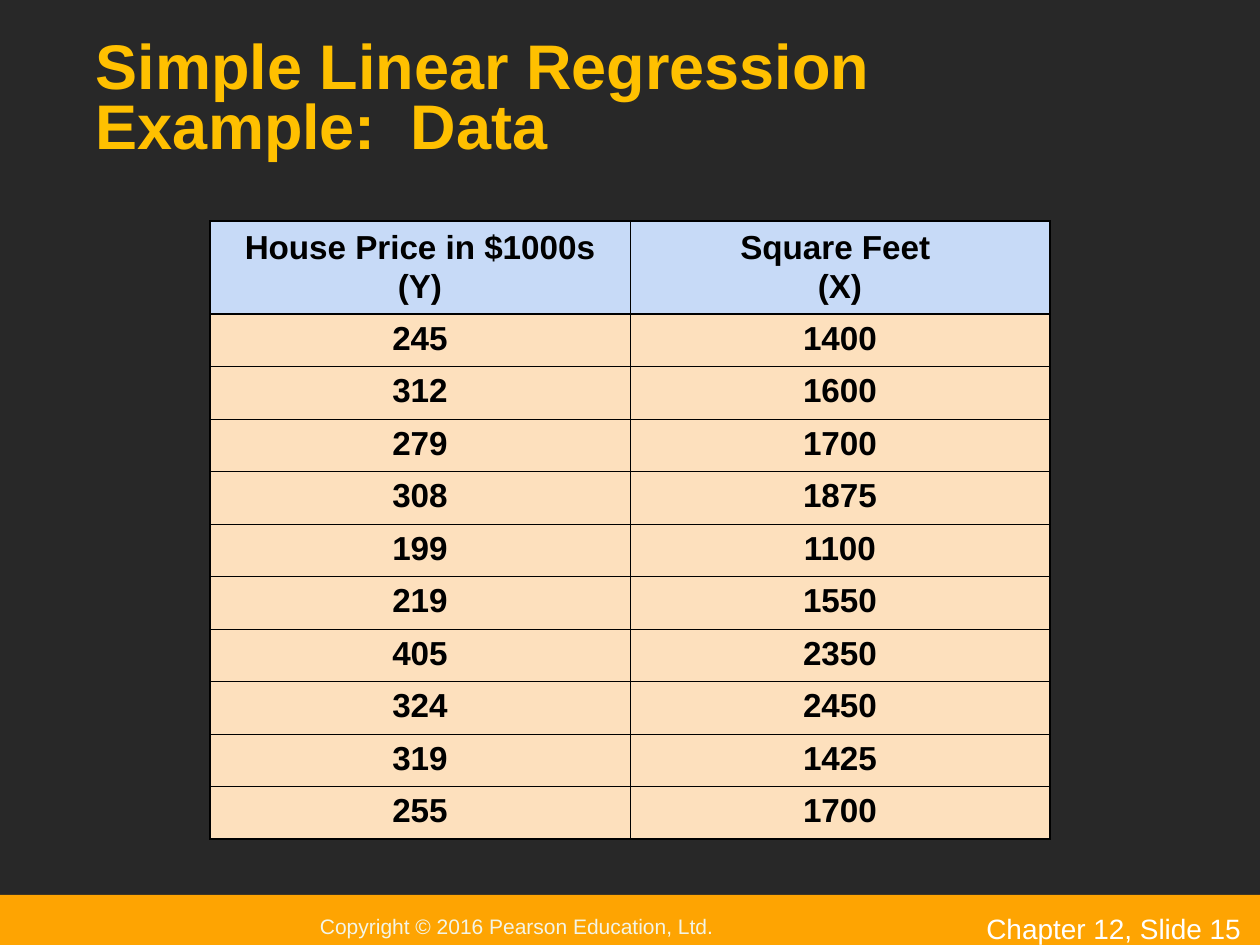
from dataclasses import dataclass

from lxml.etree import SubElement
from pptx import Presentation
from pptx.dml.color import RGBColor as Rgb
from pptx.enum.shapes import MSO_SHAPE as Shape
from pptx.enum.text import MSO_ANCHOR as Anchor, PP_ALIGN as Align
from pptx.oxml.ns import qn
from pptx.util import Pt

EMU_PER_PX = 914400 // 126


@dataclass(frozen=True)
class Theme:
    font: str = "Arial"
    background: str = "282828"
    title: str = "FFC000"
    bar: str = "FEA402"
    copyright: str = "F3F5E7"
    page: str = "FFFFFF"
    header: str = "C7DAF7"
    body: str = "FDE0BD"
    ink: str = "000000"
    title_size: int = 36
    cell_size: int = 19
    page_size: int = 16
    copyright_size: int = 12
    outer_line: float = 1.08
    inner_line: float = 0.45


THEME = Theme()
HEADERS = ("House Price in $1000s\n(Y)", "Square Feet \n(X)")
HOUSES = (
    (245, 1400), (312, 1600), (279, 1700), (308, 1875), (199, 1100),
    (219, 1550), (405, 2350), (324, 2450), (319, 1425), (255, 1700),
)


def px(length):
    return length * EMU_PER_PX


def box(left, top, width, height):
    return [px(length) for length in (left, top, width, height)]


def paint(fill, color):
    fill.solid()
    fill.fore_color.rgb = Rgb.from_string(color)


def style(frame, size, color, bold=False, align=Align.LEFT):
    for paragraph in frame.paragraphs:
        paragraph.alignment = align
        for run in paragraph.runs:
            run.font.name = THEME.font
            run.font.size = Pt(size)
            run.font.bold = bold
            run.font.color.rgb = Rgb.from_string(color)


def add_title(slide, text):
    title = slide.shapes.title
    title.left, title.top, title.width, title.height = box(84, 31, 1092, 137)
    frame = title.text_frame
    frame.text = text
    frame.word_wrap = True
    frame.vertical_anchor = Anchor.BOTTOM
    frame.margin_left = frame.margin_right = px(12)
    frame.margin_top = frame.margin_bottom = px(6)
    frame.paragraphs[0].line_spacing = 0.8
    style(frame, THEME.title_size, THEME.title, bold=True)


def add_footer_bar(slide, text):
    bar = slide.shapes.add_shape(Shape.RECTANGLE, *box(0, 895, 1260, 62))
    bar.shadow.inherit = False
    paint(bar.fill, THEME.bar)
    bar.line.fill.background()
    frame = bar.text_frame
    frame.text = text
    frame.vertical_anchor = Anchor.MIDDLE
    frame.margin_left = px(320)
    frame.margin_top = frame.margin_right = frame.margin_bottom = 0
    style(frame, THEME.copyright_size, THEME.copyright)


def add_page_label(slide, text):
    frame = slide.shapes.add_textbox(*box(974, 905, 294, 33)).text_frame
    frame.text = text
    frame.word_wrap = True
    style(frame, THEME.page_size, THEME.page)


def set_borders(cell, widths):
    properties = cell._tc.get_or_add_tcPr()
    for side, width in zip("LRTB", widths):
        line = SubElement(properties, qn(f"a:ln{side}"), w=str(Pt(width)))
        fill = SubElement(line, qn("a:solidFill"))
        SubElement(fill, qn("a:srgbClr"), val=THEME.ink)


def fill_cell(cell, text, is_header):
    frame = cell.text_frame
    frame.text = text
    for paragraph in frame.paragraphs[1:]:
        paragraph.space_before = Pt(4.8)
        paragraph.line_spacing = 0.8
    style(frame, THEME.cell_size, THEME.ink, bold=True, align=Align.CENTER)
    cell.vertical_anchor = Anchor.MIDDLE if is_header else Anchor.TOP
    paint(cell.fill, THEME.header if is_header else THEME.body)


def add_house_table(slide, headers, houses):
    records = (headers, *houses)
    last_row, last_column = len(houses), len(headers) - 1
    table = slide.shapes.add_table(
        len(records), len(headers), *box(210, 221, 840, 617)
    ).table
    for column in table.columns:
        column.width = px(840) // len(headers)
    for r, record in enumerate(records):
        table.rows[r].height = px(92) if r == 0 else px(525) // len(houses)
        for c, value in enumerate(record):
            outer = (c == 0, c == last_column, r <= 1, r in (0, last_row))
            cell = table.cell(r, c)
            set_borders(
                cell,
                [THEME.outer_line if edge else THEME.inner_line for edge in outer],
            )
            fill_cell(cell, str(value), r == 0)


def main():
    deck = Presentation()
    deck.slide_width, deck.slide_height = px(1260), px(945)
    slide = deck.slides.add_slide(deck.slide_layouts[5])
    paint(slide.background.fill, THEME.background)
    add_footer_bar(slide, "Copyright © 2016 Pearson Education, Ltd.")
    add_page_label(slide, "Chapter 12, Slide 15")
    add_title(slide, "Simple Linear Regression Example:  Data")
    add_house_table(slide, HEADERS, HOUSES)
    deck.save("out.pptx")


if __name__ == "__main__":
    main()
